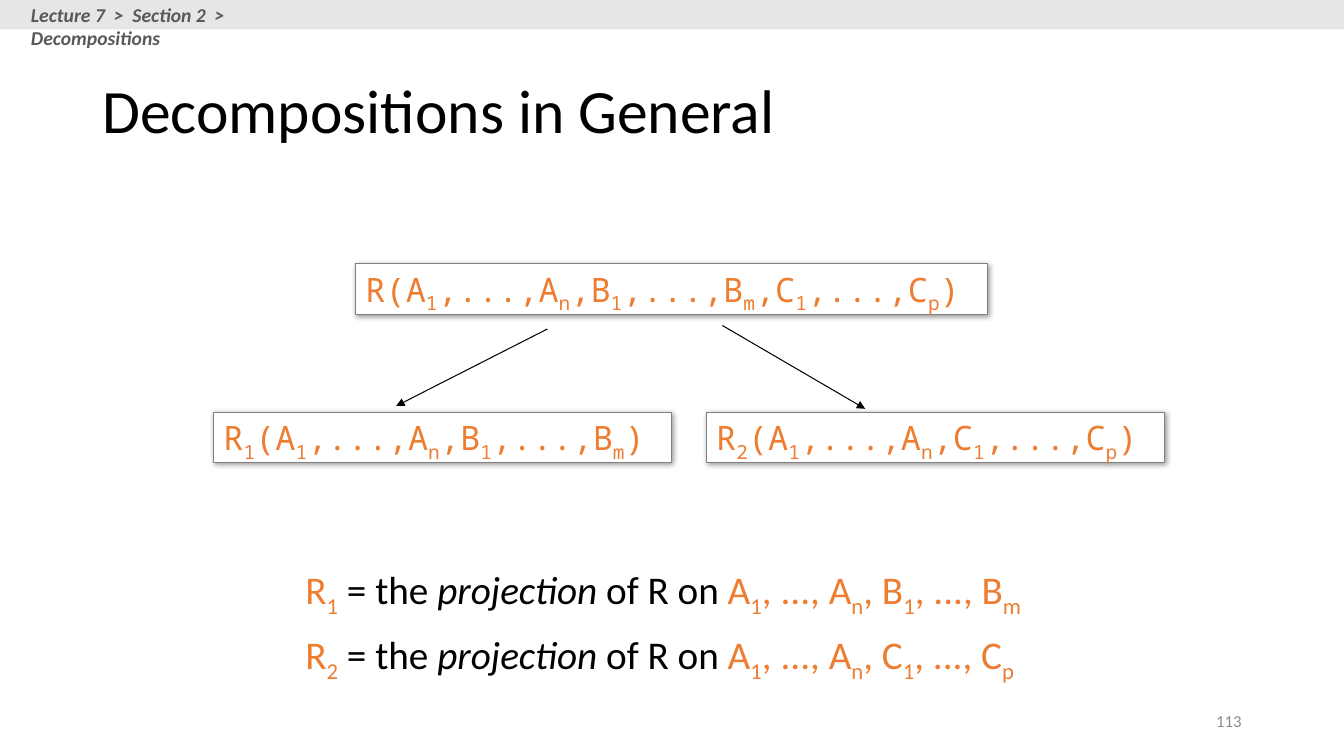
from lxml.etree import SubElement as Sub
from pptx import Presentation
from pptx.dml.color import RGBColor as RGB
from pptx.enum.shapes import MSO_CONNECTOR as LINK, MSO_SHAPE as SHAPE
from pptx.enum.text import MSO_ANCHOR as ANCHOR, PP_ALIGN as ALIGN
from pptx.oxml.ns import qn
from pptx.util import Pt

BLACK = RGB(0x00, 0x00, 0x00)
WHITE = RGB(0xFF, 0xFF, 0xFF)
ORANGE = RGB(0xED, 0x7D, 0x31)
GRAY = RGB(0x80, 0x80, 0x80)
DARK = RGB(0x59, 0x59, 0x59)
PALE = RGB(0x8C, 0x8C, 0x8C)
BAND = RGB(0xE7, 0xE6, 0xE6)
SANS, MONO = "Calibri", "Noto Sans Mono"


def style(font, name, size, color):
    font.name, font.size = name, Pt(size)
    font.color.rgb = color


def add_runs(para, text):
    """Add text in which an underscore makes the next character a subscript."""
    head, *rest = text.split("_")
    runs = [para.add_run()]
    runs[0].text = head
    for part in rest:
        sub = para.add_run()
        sub.text = part[0]
        sub._r.get_or_add_rPr().set("baseline", "-25000")
        runs.append(sub)
        if part[1:]:
            tail = para.add_run()
            tail.text = part[1:]
            runs.append(tail)
    return runs


def add_text(slide, box, text, size, color, anchor=ANCHOR.TOP):
    frame = slide.shapes.add_textbox(*map(Pt, box)).text_frame
    frame.word_wrap = True
    frame.vertical_anchor = anchor
    para = frame.paragraphs[0]
    style(para.font, SANS, size, color)
    if text:
        add_runs(para, text)
    return para


def add_rect(slide, box, fill):
    rect = slide.shapes.add_shape(SHAPE.RECTANGLE, *map(Pt, box))
    rect.shadow.inherit = False
    rect.fill.solid()
    rect.fill.fore_color.rgb = fill
    rect.line.fill.background()
    return rect


def add_shadow(shape):
    effects = shape._element.spPr.find(qn("a:effectLst"))
    outer = Sub(effects, qn("a:outerShdw"), blurRad=str(Pt(4)),
                dist=str(Pt(1)), dir="2700000", algn="tl", rotWithShape="0")
    color = Sub(outer, qn("a:srgbClr"), val=str(BLACK))
    Sub(color, qn("a:alpha"), val="40000")


def add_schema(slide, left, top, width, text):
    """Add a shadowed box that holds a relation and its attributes."""
    rect = add_rect(slide, (left, top, width, 36), WHITE)
    rect.line.color.rgb = GRAY
    rect.line.width = Pt(0.75)
    add_shadow(rect)
    frame = rect.text_frame
    frame.word_wrap = True
    frame.vertical_anchor = ANCHOR.TOP
    para = frame.paragraphs[0]
    para.alignment = ALIGN.LEFT
    style(para.font, MONO, 24, ORANGE)
    add_runs(para, text)


def add_arrow(slide, *ends):
    arrow = slide.shapes.add_connector(LINK.STRAIGHT, *map(Pt, ends))
    arrow.line.color.rgb = BLACK
    arrow.line.width = Pt(0.75)
    props = arrow._element.spPr
    Sub(props.find(qn("a:ln")), qn("a:tailEnd"), type="triangle")
    Sub(props, qn("a:effectLst"))


def add_rule(slide, top, name, attrs):
    """Add a line that defines a relation as a projection of R."""
    para = add_text(slide, (211, top, 537, 41), "", 28, BLACK)
    for run in add_runs(para, name):
        run.font.color.rgb = ORANGE
    add_runs(para, " = the ")
    add_runs(para, "projection")[0].font.italic = True
    add_runs(para, " of R on ")
    for run in add_runs(para, attrs):
        run.font.color.rgb = ORANGE


def main():
    deck = Presentation()
    deck.slide_width, deck.slide_height = Pt(960), Pt(540)
    slide = deck.slides.add_slide(deck.slide_layouts[6])

    add_rect(slide, (0, 0, 960, 21), BAND)
    crumb = add_text(slide, (15, -1.5, 240, 24.5),
                     "Lecture 7  >  Section 2  >  Decompositions", 14, DARK)
    crumb.font.bold = crumb.font.italic = True
    title = add_text(slide, (66, 29, 828, 104.5), "Decompositions in General",
                     44, BLACK, ANCHOR.MIDDLE)
    title.line_spacing = 0.9
    page = add_text(slide, (678, 500.5, 216, 29), "113", 12, PALE,
                    ANCHOR.MIDDLE)
    page.alignment = ALIGN.RIGHT

    add_schema(slide, 254, 188.5, 451.5, "R(A_1,...,A_n,B_1,...,B_m,C_1,...,C_p)")
    add_schema(slide, 152.5, 294.5, 327, "R_1(A_1,...,A_n,B_1,...,B_m)")
    add_schema(slide, 504.5, 294.5, 327, "R_2(A_1,...,A_n,C_1,...,C_p)")
    add_arrow(slide, 391, 235, 283, 290)
    add_arrow(slide, 516, 232.5, 618, 292)

    add_rule(slide, 400.5, "R_1", "A_1, ..., A_n, B_1, ..., B_m")
    add_rule(slide, 447, "R_2", "A_1, ..., A_n, C_1, ..., C_p")
    deck.save("out.pptx")


if __name__ == "__main__":
    main()
